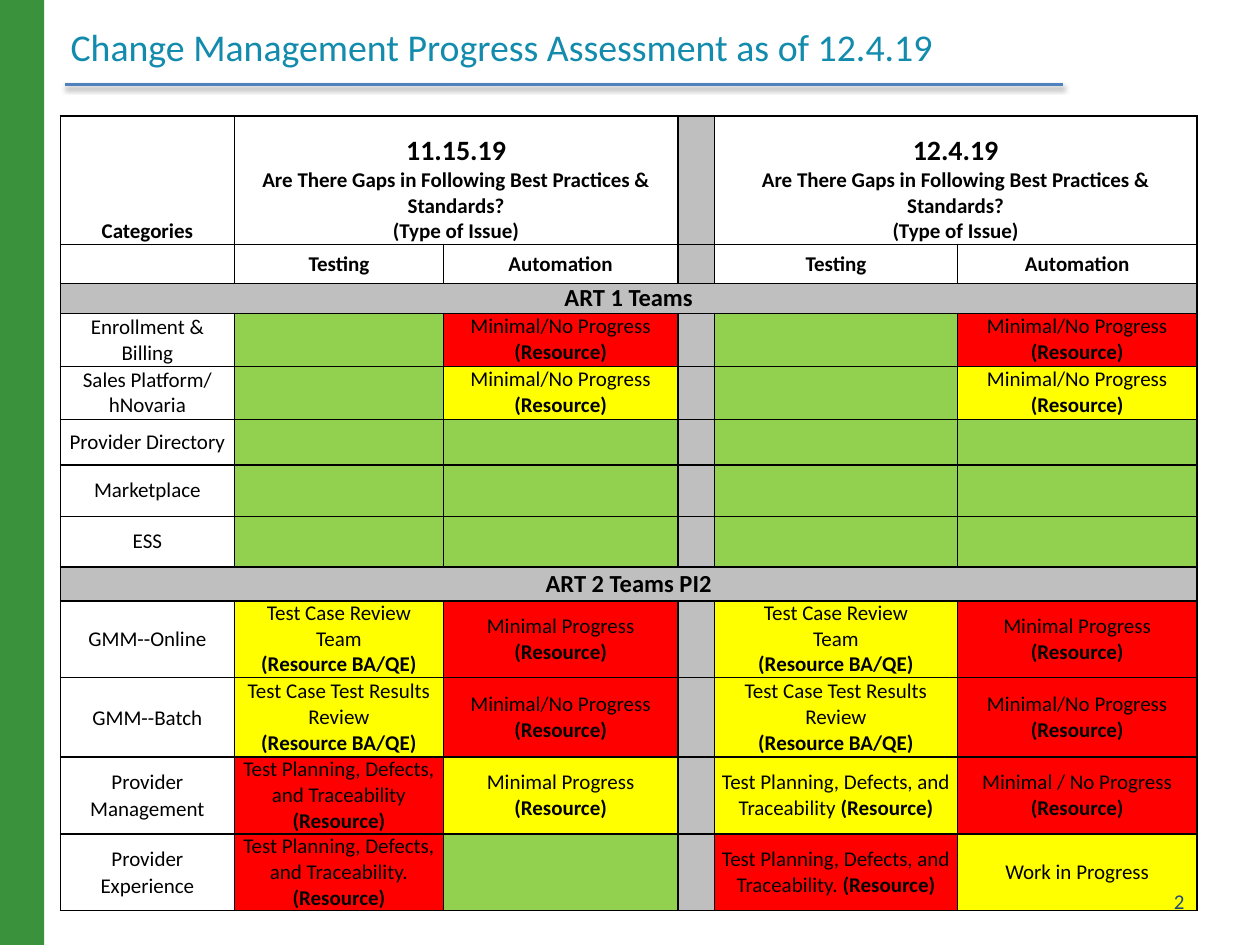
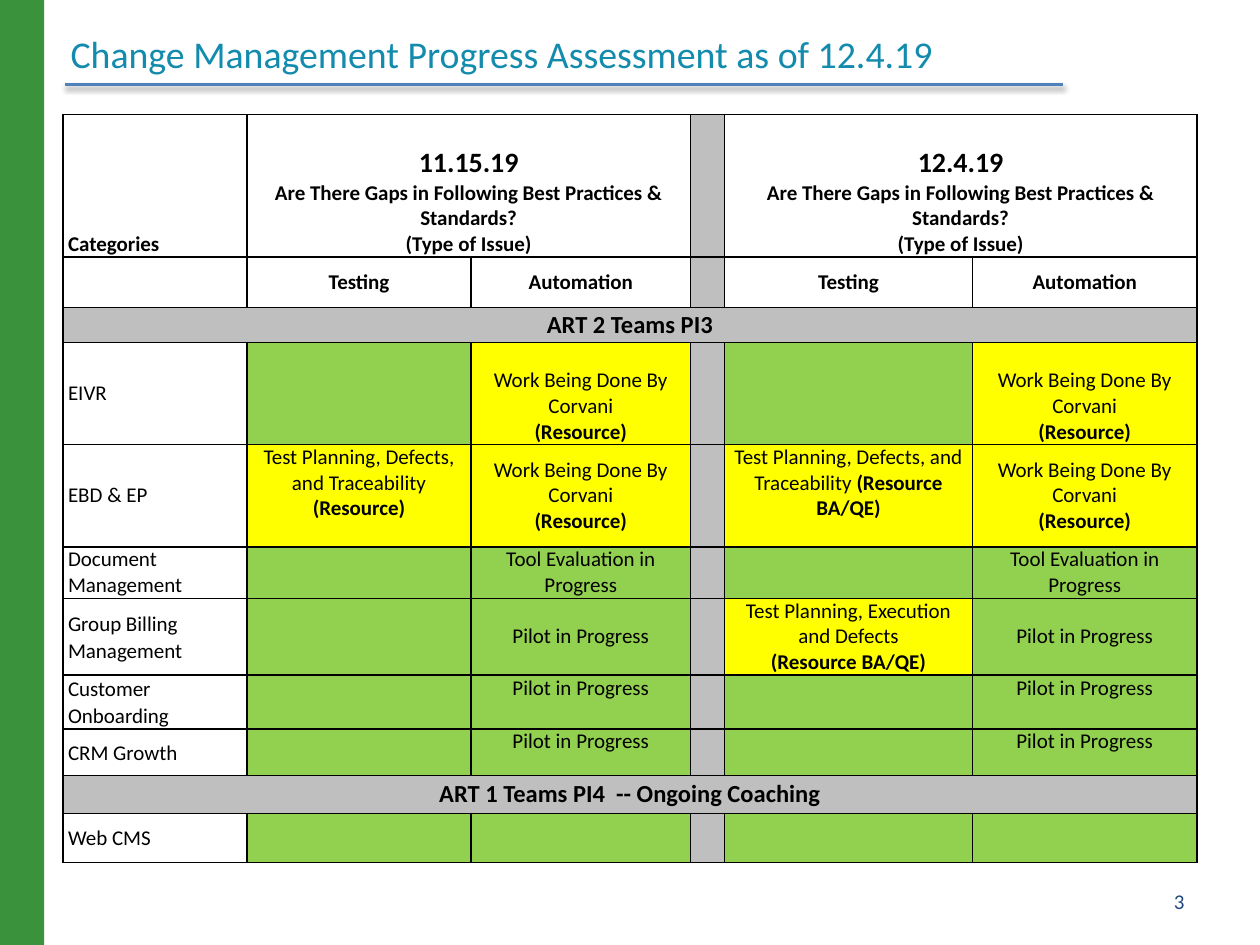
from dataclasses import dataclass

from lxml.etree import SubElement
from pptx import Presentation
from pptx.dml.color import RGBColor
from pptx.enum.shapes import MSO_CONNECTOR, MSO_SHAPE
from pptx.enum.text import MSO_ANCHOR, MSO_AUTO_SIZE, PP_ALIGN
from pptx.oxml.ns import qn
from pptx.util import Inches, Pt

COLUMNS, ROWS = 1000, 750
GREEN, YELLOW, RED = "92D050", "FFFF00", "FF0000"
GRAY, WHITE, BLACK = "BFBFBF", "FFFFFF", "000000"
BAR, RULE, TITLE, NUMBER = "3A923D", "4F81BD", "128BAD", "1F497D"
TOP, MIDDLE, BOTTOM = MSO_ANCHOR.TOP, MSO_ANCHOR.MIDDLE, MSO_ANCHOR.BOTTOM
HEADING = "Change Management Progress Assessment as of 12.4.19"
QUESTION = "Are There Gaps in Following Best Practices & Standards?\n(Type of Issue)"
DATES = ("11.15.19", "12.4.19")


def color(code):
    return RGBColor.from_string(code)


@dataclass
class Mark:
    fill: str
    text: str = ""
    anchor: MSO_ANCHOR = MIDDLE


@dataclass
class Section:
    height: int
    name: str


@dataclass
class Team:
    height: int
    name: str
    marks: tuple
    spacing: float = 1.0


class Report:
    """Builds report pages on a grid of COLUMNS by ROWS in one shared style."""

    font = "Calibri"

    def __init__(self):
        self.deck = Presentation()
        self.deck.slide_width, self.deck.slide_height = Inches(10), Inches(7.5)
        self.page = None

    def x(self, columns):
        return int(self.deck.slide_width * columns / COLUMNS)

    def y(self, rows):
        return int(self.deck.slide_height * rows / ROWS)

    def area(self, left, top, width, height):
        return self.x(left), self.y(top), self.x(width), self.y(height)

    def style(self, span, size, code, bold=False):
        span.font.name, span.font.size = self.font, Pt(size)
        span.font.color.rgb, span.font.bold = color(code), bold

    def start(self, number, title_top):
        self.page = self.deck.slides.add_slide(self.deck.slide_layouts[5])
        self.side_bar()
        self.rule()
        self.title(title_top)
        return number

    def side_bar(self):
        bar = self.page.shapes.add_shape(MSO_SHAPE.RECTANGLE, *self.area(0, 0, 35, ROWS))
        bar.shadow.inherit = False
        bar.fill.solid()
        bar.fill.fore_color.rgb = color(BAR)
        bar.line.fill.background()

    def rule(self):
        height = self.y(67)
        line = self.page.shapes.add_connector(
            MSO_CONNECTOR.STRAIGHT, self.x(52), height, self.x(844), height)
        line.line.color.rgb, line.line.width = color(RULE), Pt(2)
        effects = SubElement(line._element.spPr, qn("a:effectLst"))
        shadow = SubElement(effects, qn("a:outerShdw"), blurRad=str(Pt(3.1)),
                            dist=str(Pt(1.6)), dir="5400000", rotWithShape="0")
        tint = SubElement(shadow, qn("a:srgbClr"), val=BLACK)
        SubElement(tint, qn("a:alpha"), val="38000")

    def title(self, top):
        box = self.page.shapes.title
        box.left, box.top, box.width, box.height = self.area(46, top, 872, 34)
        frame = box.text_frame
        frame.text = HEADING
        frame.auto_size, frame.vertical_anchor = MSO_AUTO_SIZE.NONE, BOTTOM
        frame.paragraphs[0].alignment = PP_ALIGN.LEFT
        self.style(frame.paragraphs[0].runs[0], 21.6, TITLE)

    def page_number(self, number):
        box = self.page.shapes.add_textbox(*self.area(717, 695, 233, 40))
        frame = box.text_frame
        frame.word_wrap, frame.vertical_anchor = True, MIDDLE
        frame.text = str(number)
        frame.paragraphs[0].alignment = PP_ALIGN.RIGHT
        self.style(frame.paragraphs[0].runs[0], 12, NUMBER)

    def cell(self, cell, mark, sizes=(12,), bold=False, align=PP_ALIGN.CENTER, spacing=1.0):
        cell.margin_left = cell.margin_right = Inches(0.04)
        cell.margin_top = cell.margin_bottom = 0
        cell.vertical_anchor = mark.anchor
        self.borders(cell)
        cell.fill.solid()
        cell.fill.fore_color.rgb = color(mark.fill)
        cell.text_frame.text = mark.text
        for index, para in enumerate(cell.text_frame.paragraphs):
            para.alignment = align
            if spacing != 1:
                para.line_spacing = spacing
            size = sizes[min(index, len(sizes) - 1)]
            self.spans(para, size, bold)

    def spans(self, para, size, bold):
        if not para.text:
            SubElement(para._p, qn("a:endParaRPr"), sz=str(size * 100))
            return
        plain, mark, issue = para.text.partition("(Resource")
        para.clear()
        for text, heavy in ((plain, bold), (mark + issue, True)):
            if text:
                span = para.add_run()
                span.text = text
                self.style(span, size, BLACK, heavy)

    def borders(self, cell):
        properties = cell._tc.get_or_add_tcPr()
        for side in ("a:lnL", "a:lnR", "a:lnT", "a:lnB"):
            line = SubElement(properties, qn(side), w=str(Pt(1)))
            fill = SubElement(line, qn("a:solidFill"))
            SubElement(fill, qn("a:srgbClr"), val=BLACK)

    def assessment(self, left, top, widths, head_heights, align, entries):
        heights = [*head_heights, *(entry.height for entry in entries)]
        frame = self.page.shapes.add_table(
            len(heights), len(widths), *self.area(left, top, sum(widths), sum(heights)))
        table = frame.table
        table.first_row = table.horz_banding = False
        for column, width in zip(table.columns, widths):
            column.width = self.x(width)
        for row, height in zip(table.rows, heights):
            row.height = self.y(height)
        self.header(table, align)
        for row, entry in enumerate(entries, len(head_heights)):
            if isinstance(entry, Section):
                self.section(table, row, entry)
            else:
                self.team(table, row, entry, align)

    def header(self, table, align):
        before, after = (Mark(WHITE, f"{date}\n{QUESTION}", BOTTOM) for date in DATES)
        blank, gap = Mark(WHITE), Mark(GRAY)
        top = (Mark(WHITE, "Categories", BOTTOM), before, blank, gap, after, blank)
        kinds = (Mark(WHITE, "Testing"), Mark(WHITE, "Automation"))
        for column, mark in enumerate(top):
            sizes = (16, 12) if mark in (before, after) else (12,)
            side = PP_ALIGN.CENTER if column else align
            self.cell(table.cell(0, column), mark, sizes, True, side)
        for column, mark in enumerate((blank, *kinds, gap, *kinds)):
            self.cell(table.cell(1, column), mark, bold=True)
        for column in (1, 4):
            table.cell(0, column).merge(table.cell(0, column + 1))

    def section(self, table, row, entry):
        last = len(table.columns) - 1
        for column in range(last + 1):
            text = "" if column else entry.name
            self.cell(table.cell(row, column), Mark(GRAY, text), (14,), True)
        table.cell(row, 0).merge(table.cell(row, last))

    def team(self, table, row, entry, align):
        self.cell(table.cell(row, 0), Mark(WHITE, entry.name), align=align,
                  spacing=entry.spacing)
        marks = (*entry.marks[:2], Mark(GRAY), *entry.marks[2:])
        for column, mark in enumerate(marks, 1):
            self.cell(table.cell(row, column), mark)


DONE = Mark(GREEN)
ALL_DONE = (DONE,) * 4
STALLED = "Minimal/No Progress\n(Resource)"
SLOW = "Minimal Progress\n(Resource)"
PLANNING = "Test Planning, Defects, and Traceability"
REVIEW = Mark(YELLOW, "Test Case Review\nTeam\n(Resource BA/QE)")
RESULTS = Mark(YELLOW, "Test Case Test Results Review\n(Resource BA/QE)")
VENDOR = "Work Being Done By Corvani\n(Resource)"
TOOLS = Mark(GREEN, "Tool Evaluation in Progress", TOP)
PILOT, PILOT_TOP = (Mark(GREEN, "Pilot in Progress", anchor) for anchor in (MIDDLE, TOP))
UNTRACED = Mark(RED, f"{PLANNING}. (Resource)")

FIRST_TEAMS = [
    Section(24, "ART 1 Teams"),
    Team(42, "Enrollment & Billing", (DONE, Mark(RED, STALLED, TOP)) * 2),
    Team(42, "Sales Platform/ hNovaria", (DONE, Mark(YELLOW, STALLED, TOP)) * 2),
    Team(36, "Provider Directory", ALL_DONE),
    Team(41, "Marketplace", ALL_DONE),
    Team(40, "ESS", ALL_DONE),
    Section(27, "ART 2 Teams PI2"),
    Team(61, "GMM--Online", (REVIEW, Mark(RED, SLOW)) * 2, 1.05),
    Team(63, "GMM--Batch", (RESULTS, Mark(RED, STALLED)) * 2, 1.05),
    Team(61, "Provider Management", (
        Mark(RED, f"{PLANNING} (Resource)"), Mark(YELLOW, SLOW),
        Mark(YELLOW, f"{PLANNING} (Resource)"),
        Mark(RED, "Minimal / No Progress\n(Resource)")), 1.05),
    Team(61, "Provider Experience",
         (UNTRACED, DONE, UNTRACED, Mark(YELLOW, "Work in Progress")), 1.05),
]

SECOND_TEAMS = [
    Section(28, "ART 2 Teams PI3"),
    Team(81, "EIVR", (DONE, Mark(YELLOW, VENDOR, BOTTOM)) * 2),
    Team(81, "EBD & EP", (
        Mark(YELLOW, f"{PLANNING}\n(Resource)", TOP), Mark(YELLOW, VENDOR),
        Mark(YELLOW, f"{PLANNING} (Resource BA/QE)", TOP), Mark(YELLOW, VENDOR))),
    Team(41, "Document Management", (DONE, TOOLS) * 2),
    Team(61, "Group Billing Management", (
        DONE, PILOT,
        Mark(YELLOW, "Test Planning, Execution and Defects\n(Resource BA/QE)", TOP),
        PILOT), 1.05),
    Team(42, "Customer Onboarding", (DONE, PILOT_TOP) * 2, 1.05),
    Team(37, "CRM Growth", (DONE, PILOT_TOP) * 2, 1.05),
    Section(30, "ART 1 Teams PI4  -- Ongoing Coaching"),
    Team(39, "Web CMS", ALL_DONE, 1.05),
]

report = Report()
first = report.start(2, 26)
report.assessment(48, 92, (138, 166, 186, 29, 193, 190), (102, 31),
                  PP_ALIGN.CENTER, FIRST_TEAMS)
report.page_number(first)
second = report.start(3, 31)
report.assessment(50, 91, (146, 178, 174, 27, 197, 178), (113, 40),
                  PP_ALIGN.LEFT, SECOND_TEAMS)
report.page_number(second)
report.deck.save("out.pptx")
